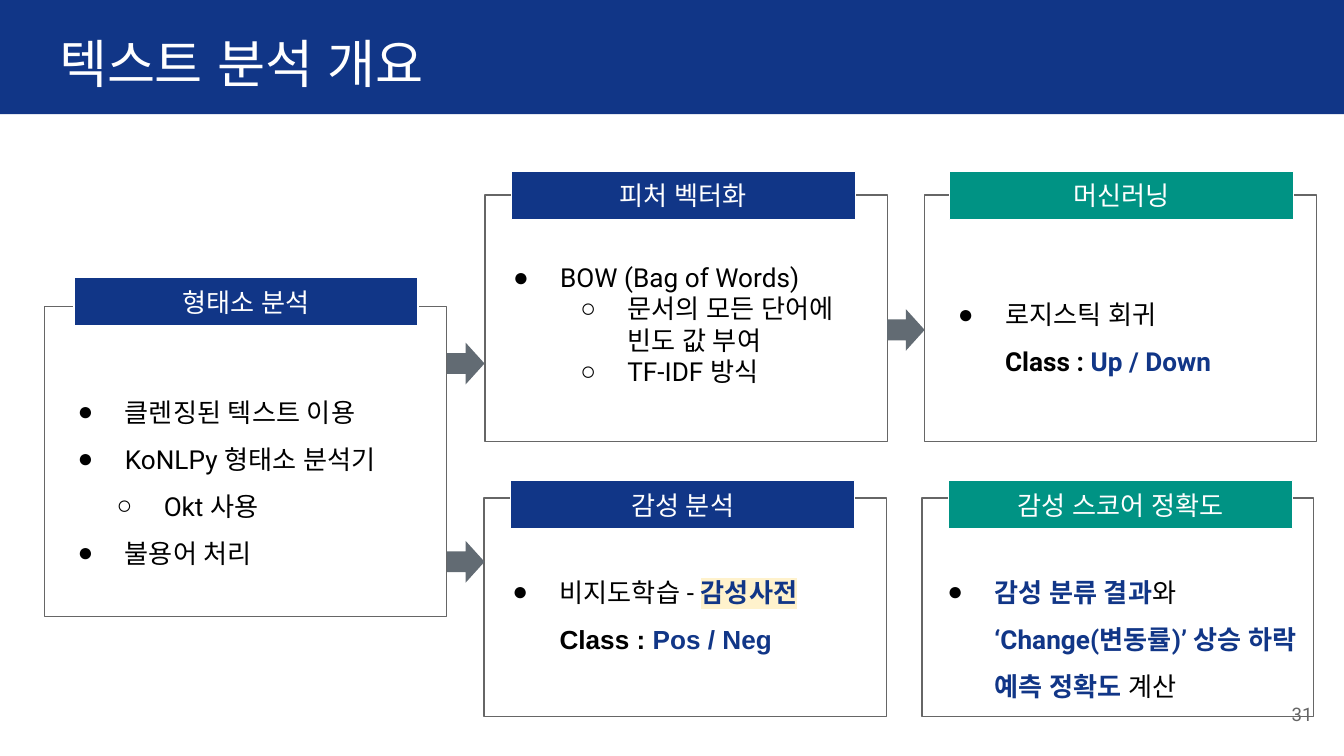
from lxml.etree import SubElement
from pptx import Presentation
from pptx.dml.color import RGBColor as RGB
from pptx.enum.shapes import MSO_SHAPE as SHAPE
from pptx.enum.text import MSO_ANCHOR as ANCHOR, MSO_AUTO_SIZE as AUTO, PP_ALIGN as ALIGN
from pptx.oxml.ns import qn
from pptx.util import Pt

PX = 4572  # 200 px to the inch
INSET = 20 * PX
COLORS = {"navy": "113687", "green": "009384", "arrow": "626B73", "gray": "666666",
          "black": "000000", "white": "FFFFFF", "cream": "FFF2CC"}

prs = Presentation()
prs.slide_width, prs.slide_height = 2000 * PX, 1125 * PX
slide = prs.slides.add_slide(prs.slide_layouts[5])
shapes = slide.shapes


def add_block(kind, left, top, width, height, fill=None, line=None):
    block = shapes.add_shape(kind, left * PX, top * PX, width * PX, height * PX)
    block.shadow.inherit = False
    if fill:
        block.fill.solid()
        block.fill.fore_color.rgb = RGB.from_string(COLORS[fill])
    else:
        block.fill.background()
    if line:
        block.line.color.rgb = RGB.from_string(COLORS[line])
        block.line.width = Pt(0.75)
    else:
        block.line.fill.background()
    return block


def add_run(paragraph, text, color="black", bold=False, size=14, font="Roboto", highlight=None):
    run = paragraph.add_run()
    run.text = text
    run.font.size, run.font.bold, run.font.name = Pt(size), bold, font
    run.font.color.rgb = RGB.from_string(COLORS[color])
    props = run.font._element
    SubElement(props, qn("a:ea"), typeface=font)
    if highlight:
        mark = SubElement(props, qn("a:highlight"))
        SubElement(mark, qn("a:srgbClr"), val=COLORS[highlight])
        props.find(qn("a:solidFill")).addnext(mark)


# Title band, behind the title
band = add_block(SHAPE.RECTANGLE, 0, 0, 2000, 170, "navy")
shapes._spTree.insert(2, band._element)

title = shapes.title
title.left, title.top, title.width, title.height = 68 * PX, 26 * PX, 1864 * PX, 136 * PX
title_frame = title.text_frame
title_frame.auto_size, title_frame.vertical_anchor = AUTO.NONE, ANCHOR.TOP
title_frame.margin_left = title_frame.margin_right = INSET
title_frame.margin_top = title_frame.margin_bottom = INSET
title_frame.paragraphs[0].alignment = ALIGN.LEFT
add_run(title_frame.paragraphs[0], "텍스트 분석 개요", "white", size=28, font="TeX Gyre Schola")

# Stages: frame, banner position, banner text and colour, body box, line spacing,
# body lines as (bullet, indent, runs)
NAVY_BOLD = {"color": "navy", "bold": True}
BOLD = {"bold": True}
ARIAL = {"bold": True, "font": "Arial"}
stages = [
    ((66, 456, 599, 462), (110, 413), "형태소 분석", "navy", (66, 546, 598, 300), 1.5, [
        ("●", 100, [("클렌징된 텍스트 이용", {})]),
        ("●", 100, [("KoNLPy 형태소 분석기", {})]),
        ("○", 158, [("Okt 사용", {})]),
        ("●", 100, [("불용어 처리", {})])]),
    ((722, 290, 599, 367), (761, 255), "피처 벡터화", "navy", (714, 369, 614, 228), 1.0, [
        ("●", 100, [("BOW (Bag of Words)", {})]),
        ("○", 200, [("문서의 모든 단어에 ", {}), "break", ("빈도 값 부여", {})]),
        ("○", 200, [("TF-IDF 방식", {})])]),
    ((1376, 290, 583, 367), (1413, 255), "머신러닝", "green", (1376, 401, 614, 158), 1.5, [
        ("●", 100, [("로지스틱 회귀", {})]),
        (None, 100, [("Class : ", BOLD), ("Up / Down", NAVY_BOLD)])]),
    ((720, 741, 599, 325), (760, 715), "감성 분석", "navy", (713, 814, 648, 158), 1.5, [
        ("●", 100, [("비지도학습 - ", {}), ("감성사전", NAVY_BOLD | {"highlight": "cream"})]),
        (None, 100, [("Class : ", ARIAL), ("Pos / Neg", ARIAL | NAVY_BOLD)])]),
    ((1372, 741, 583, 325), (1412, 715), "감성 스코어 정확도", "green", (1360, 814, 648, 228), 1.5, [
        ("●", 100, [("감성 분류 결과", NAVY_BOLD), ("와", {})]),
        (None, 100, [("‘Change(변동률)’ 상승 하락", NAVY_BOLD)]),
        (None, 100, [("예측 정확도", NAVY_BOLD), (" 계산", {})])]),
]

for frame, banner_at, heading, banner_color, body_at, spacing, lines in stages:
    add_block(SHAPE.RECTANGLE, *frame, line="gray")

    banner = add_block(SHAPE.RECTANGLE, *banner_at, 512, 72, banner_color, "white")
    banner.text_frame.vertical_anchor = ANCHOR.MIDDLE
    banner.text_frame.margin_top = banner.text_frame.margin_bottom = 0
    banner.text_frame.paragraphs[0].alignment = ALIGN.CENTER
    add_run(banner.text_frame.paragraphs[0], heading, "white")

    body = shapes.add_textbox(*(n * PX for n in body_at)).text_frame
    body.word_wrap = True
    body.margin_left = body.margin_right = body.margin_top = body.margin_bottom = INSET
    for i, (bullet, indent, runs) in enumerate(lines):
        paragraph = body.add_paragraph() if i else body.paragraphs[0]
        props = paragraph._p.get_or_add_pPr()
        props.set("marL", str(indent * PX))
        props.set("indent", str(-70 * PX if bullet else 0))
        if bullet:
            bullet_color = SubElement(props, qn("a:buClr"))
            SubElement(bullet_color, qn("a:srgbClr"), val=COLORS["black"])
            SubElement(props, qn("a:buFont"), typeface="Arial")
            SubElement(props, qn("a:buChar"), char=bullet)
        paragraph.level = 1 if bullet == "○" else 0
        paragraph.line_spacing = spacing
        for part in runs:
            if part == "break":
                paragraph.add_line_break()
            else:
                add_run(paragraph, part[0], **part[1])

# Arrows between stages
for left, top in [(665, 510), (1320, 460), (665, 805)]:
    add_block(SHAPE.RIGHT_ARROW, left, top, 56, 62, "arrow")

# Page number
page = shapes.add_textbox(1853 * PX, 1020 * PX, 120 * PX, 86 * PX).text_frame
page.word_wrap = True
page.vertical_anchor = ANCHOR.MIDDLE
page.margin_left = page.margin_right = page.margin_top = page.margin_bottom = INSET
page.paragraphs[0].alignment = ALIGN.RIGHT
add_run(page.paragraphs[0], "31", "gray", size=10)

prs.save("out.pptx")
